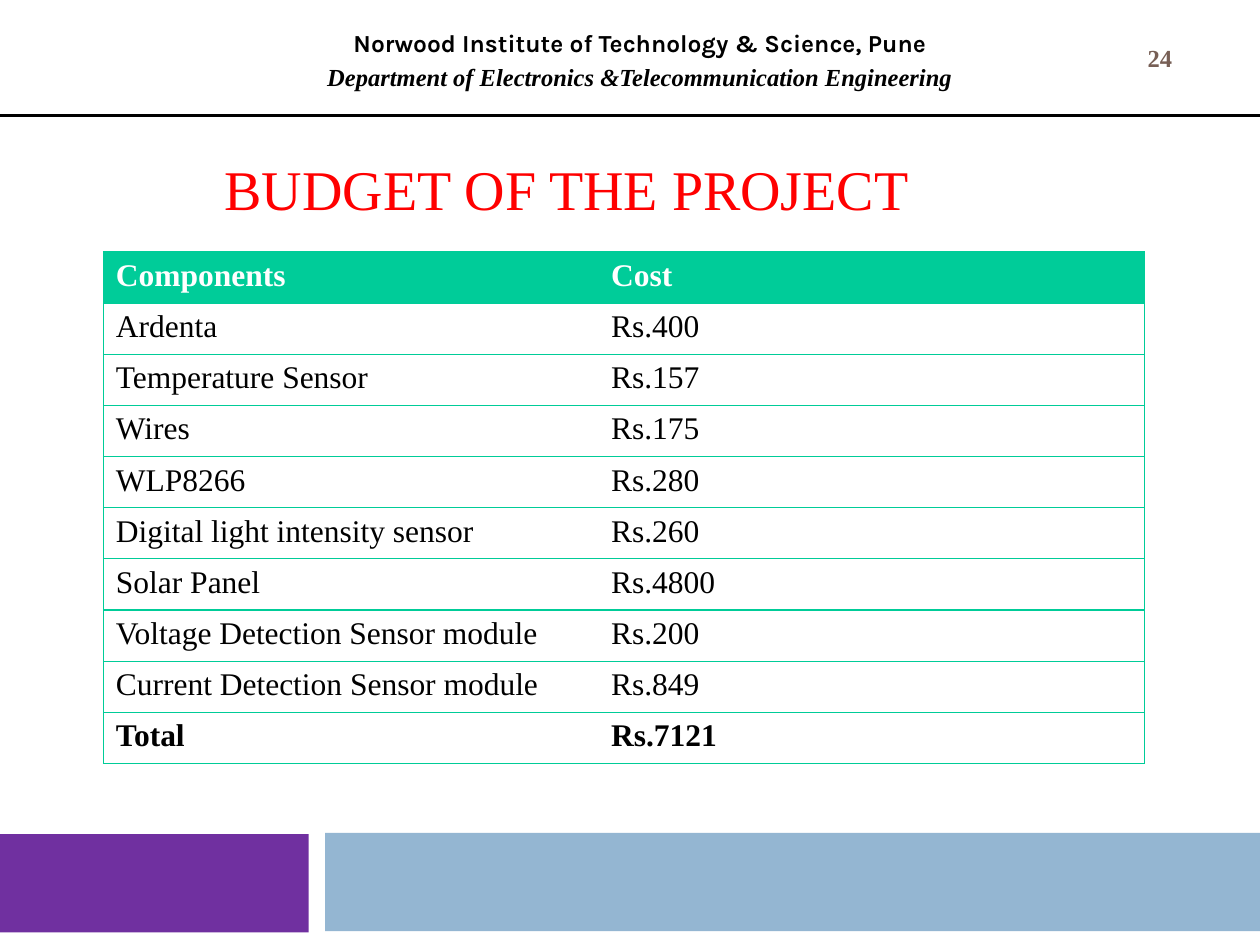
"""Build the project budget slide."""
from typing import NamedTuple

from lxml.etree import SubElement
from pptx import Presentation
from pptx.dml.color import RGBColor as Rgb
from pptx.enum.shapes import MSO_CONNECTOR as Link, MSO_SHAPE as Shape
from pptx.enum.text import MSO_ANCHOR as Anchor, MSO_AUTO_SIZE as Fit, PP_ALIGN as Align
from pptx.oxml.ns import qn
from pptx.util import Pt

SCALE = 9144
SERIF = "Times New Roman"
INK = {
    "black": "000000", "white": "FFFFFF", "red": "FF0000", "brown": "775F55",
    "purple": "7030A0", "blue": "94B6D2", "green": "00CC99", "edge": "00CC98",
}


class Box(NamedTuple):
    x: int
    y: int
    w: int
    h: int


class Band(NamedTuple):
    box: Box
    ink: str


class Line(NamedTuple):
    text: str
    size: int
    ink: str
    face: str = SERIF
    bold: bool = False
    slant: bool = False
    gap: int = 0


class Item(NamedTuple):
    part: str
    cost: str


BANDS = [
    Band(Box(-1, 662, 246, 78), "purple"),
    Band(Box(258, 661, 742, 78), "blue"),
]
HEAD = [
    Line("Norwood Institute of Technology & Science, Pune", 14, "black", "Karla", True),
    Line("Department of Electronics &Telecommunication Engineering", 14, "black",
         bold=True, slant=True, gap=3),
]
ITEMS = [
    Item("Components", "Cost"),
    Item("Ardenta", "Rs.400"),
    Item("Temperature Sensor", "Rs.157"),
    Item("Wires", "Rs.175"),
    Item("WLP8266", "Rs.280"),
    Item("Digital light intensity sensor", "Rs.260"),
    Item("Solar Panel", "Rs.4800"),
    Item("Voltage Detection Sensor module", "Rs.200"),
    Item("Current Detection Sensor module", "Rs.849"),
    Item("Total", "Rs.7121"),
]


def px(size: int) -> int:
    return size * SCALE


def tint(name: str) -> Rgb:
    return Rgb.from_string(INK[name])


def place(shape, box: Box) -> None:
    shape.left, shape.top, shape.width, shape.height = map(px, box)


def write(frame, lines: list[Line], align=Align.CENTER) -> None:
    frame.text = "\n".join(line.text for line in lines)
    for para, line in zip(frame.paragraphs, lines):
        para.alignment = align
        para.space_before = Pt(line.gap)
        font = para.font
        font.name, font.size = line.face, Pt(line.size)
        font.bold, font.italic = line.bold, line.slant
        font.color.rgb = tint(line.ink)


def add_band(slide, band: Band) -> None:
    shape = slide.shapes.add_shape(Shape.RECTANGLE, *map(px, band.box))
    shape.shadow.inherit = False
    shape.fill.solid()
    shape.fill.fore_color.rgb = tint(band.ink)
    shape.line.fill.background()


def add_text(slide, box: Box, lines: list[Line], anchor=Anchor.TOP) -> None:
    frame = slide.shapes.add_textbox(*map(px, box)).text_frame
    frame.word_wrap = True
    frame.vertical_anchor = anchor
    write(frame, lines)


def add_rule(slide, y: int) -> None:
    rule = slide.shapes.add_connector(Link.STRAIGHT, 0, px(y), px(1000), px(y))
    rule.line.color.rgb = tint("black")
    rule.line.width = Pt(1.75)
    SubElement(rule._element.spPr, qn("a:effectLst"))


def edge(cell, blank: str) -> None:
    props = cell._tc.get_or_add_tcPr()
    for side in "LRTB":
        line = SubElement(props, qn(f"a:ln{side}"), w=str(Pt(0.75)))
        if side == blank:
            SubElement(line, qn("a:noFill"))
        else:
            fill = SubElement(line, qn("a:solidFill"))
            SubElement(fill, qn("a:srgbClr"), val=INK["edge"])


def add_costs(slide, box: Box, widths: list[int]) -> None:
    last = len(ITEMS) - 1
    table = slide.shapes.add_table(len(ITEMS), len(widths), *map(px, box)).table
    table.first_row = table.horz_banding = False
    for col, width in zip(table.columns, widths):
        col.width = px(width)
    for i, item in enumerate(ITEMS):
        table.rows[i].height = px(box.h) // len(ITEMS)
        ink = "white" if i == 0 else "black"
        for j, text in enumerate(item):
            cell = table.cell(i, j)
            edge(cell, "RL"[j])
            if i == 0:
                cell.fill.solid()
                cell.fill.fore_color.rgb = tint("green")
            else:
                cell.fill.background()
            write(cell.text_frame, [Line(text, 18, ink, bold=i in (0, last))], Align.LEFT)


def add_title(slide, box: Box, line: Line) -> None:
    title = slide.shapes.title
    place(title, box)
    frame = title.text_frame
    frame.auto_size = Fit.NONE
    frame.word_wrap = True
    frame.vertical_anchor = Anchor.TOP
    write(frame, [line])


def main() -> None:
    deck = Presentation()
    deck.slide_width, deck.slide_height = px(1000), px(750)
    slide = deck.slides.add_slide(deck.slide_layouts[5])
    for band in BANDS:
        add_band(slide, band)
    add_text(slide, Box(83, 17, 850, 67), HEAD)
    add_rule(slide, 92)
    add_text(slide, Box(875, 25, 91, 41), [Line("24", 14, "brown", bold=True)], Anchor.MIDDLE)
    add_costs(slide, Box(82, 200, 826, 406), [393, 433])
    add_title(slide, Box(96, 118, 708, 64), Line("BUDGET OF THE PROJECT", 32, "red"))
    deck.save("out.pptx")


if __name__ == "__main__":
    main()
